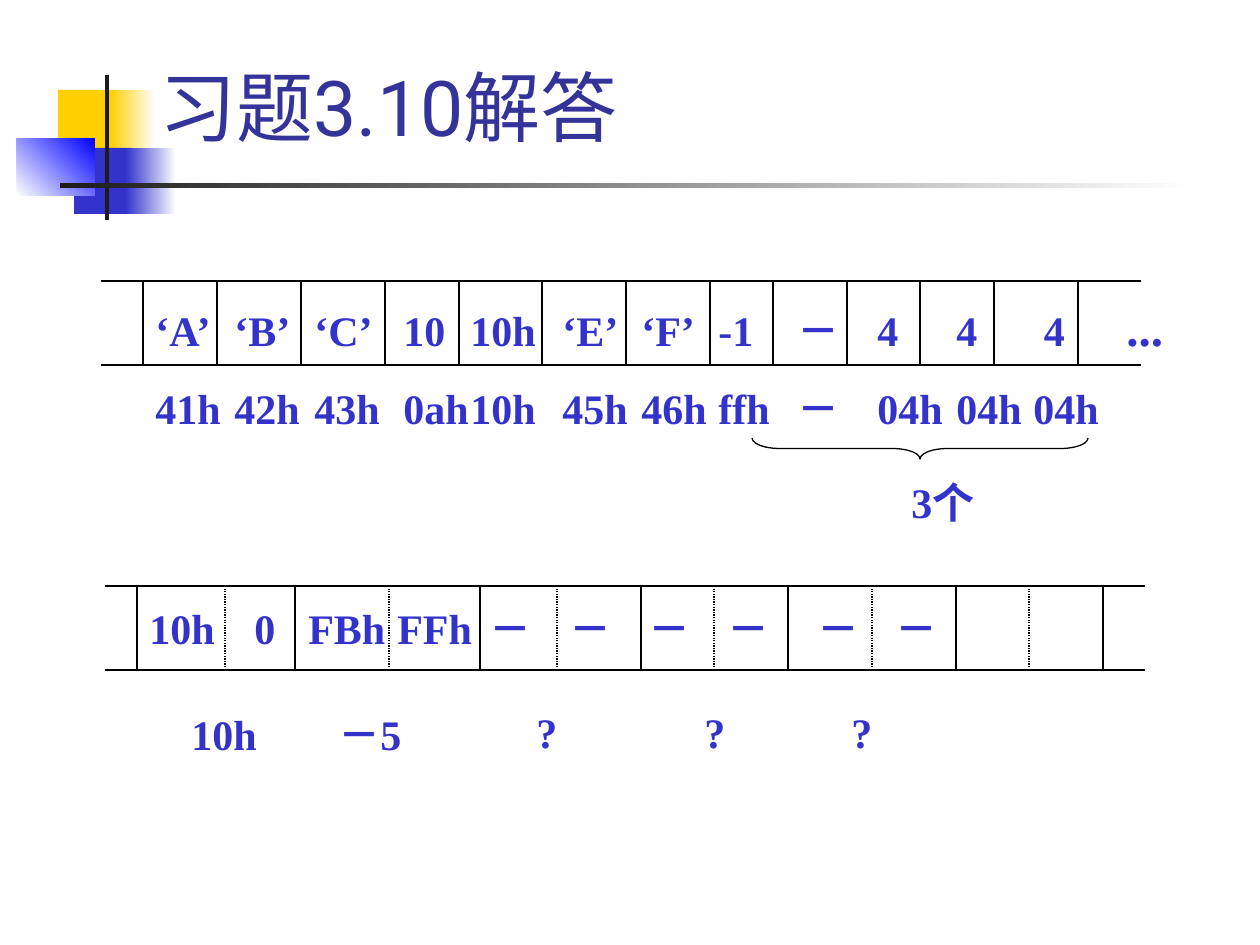
from lxml.etree import SubElement
from pptx import Presentation
from pptx.dml.color import RGBColor
from pptx.enum.dml import MSO_LINE
from pptx.enum.shapes import MSO_CONNECTOR, MSO_SHAPE
from pptx.enum.text import MSO_ANCHOR, MSO_AUTO_SIZE, PP_ALIGN
from pptx.oxml.ns import qn
from pptx.util import Pt

SCALE = 914400 / 126
INK = {"gold": "FFCF01", "blue": "3333CC", "pure": "0000FF", "dark": "1C1C1C",
       "white": "FFFFFF", "title": "333399", "line": "000000"}
BODY = {"name": "Times New Roman", "size": Pt(24), "bold": True}
HEAD = {"name": "Roboto", "size": Pt(44), "bold": False}
FRAME = {"word_wrap": True, "vertical_anchor": MSO_ANCHOR.TOP,
         "auto_size": MSO_AUTO_SIZE.SHAPE_TO_FIT_TEXT}


def px(n):
    return round(n * SCALE)


def tint(name):
    return RGBColor.from_string(INK[name])


def put(item, values):
    for key, value in values.items():
        setattr(item, key, value)


def add_run(para, text, style, color):
    run = para.add_run()
    run.text = text
    put(run.font, style)
    run.font.color.rgb = tint(color)


def set_tabs(para, stops):
    tabs = SubElement(para._p.get_or_add_pPr(), qn("a:tabLst"))
    for stop in stops:
        SubElement(tabs, qn("a:tab"), pos=str(px(stop)), algn="l")


def add_text(slide, box, rows, stops=()):
    """Each row is a list of (text, size) runs."""
    frame = slide.shapes.add_textbox(*map(px, box)).text_frame
    put(frame, FRAME)
    for i, row in enumerate(rows):
        para = frame.add_paragraph() if i else frame.paragraphs[0]
        if i:
            para.space_before = Pt(15)
        if stops:
            set_tabs(para, stops)
        for text, size in row:
            add_run(para, text, {**BODY, "size": Pt(size)}, "blue")


def add_line(slide, x1, y1, x2, y2, dotted=False):
    line = slide.shapes.add_connector(MSO_CONNECTOR.STRAIGHT, *map(px, (x1, y1, x2, y2)))
    line.line.width = Pt(0.75)
    line.line.color.rgb = tint("line")
    if dotted:
        line.line.dash_style = MSO_LINE.ROUND_DOT
    SubElement(line._element.spPr, qn("a:effectLst"))


def add_block(slide, box, start, end=None, angle=0):
    block = slide.shapes.add_shape(MSO_SHAPE.RECTANGLE, *map(px, box))
    block.shadow.inherit = False
    block.line.fill.background()
    if end is None:
        block.fill.solid()
        block.fill.fore_color.rgb = tint(start)
        return
    block.fill.gradient()
    block.fill.gradient_angle = angle
    for stop, name in zip(block.fill.gradient_stops, (start, end)):
        stop.color.rgb = tint(name)


def add_motif(slide, x, y):
    # Coloured squares and the cross bars
    for (dx, dy, w, h), *fill in (
            ((41, 15, 60, 66), "gold"),
            ((93, 15, 45, 66), "gold", "white"),
            ((57, 73, 58, 66), "blue"),
            ((109, 73, 50, 66), "blue", "white"),
            ((0, 63, 78, 58), "white", "pure", 45),
            ((88, 0, 4, 145), "dark"),
            ((43, 108, 1134, 5), "dark", "white")):
        add_block(slide, (x + dx, y + dy, w, h), *fill)


def add_title(slide, box, text):
    title = slide.shapes.title
    put(title, dict(zip(("left", "top", "width", "height"), map(px, box))))
    put(title.text_frame, {"vertical_anchor": MSO_ANCHOR.BOTTOM, "word_wrap": True,
                           "auto_size": MSO_AUTO_SIZE.NONE})
    para = title.text_frame.paragraphs[0]
    para.alignment = PP_ALIGN.LEFT
    add_run(para, text, HEAD, "title")


def add_tape(slide, box, walls, halves=False):
    """Open strip of cells; with halves, every second wall is dotted."""
    x, y, w, h = box
    for edge in (y, y + h):
        add_line(slide, x, edge, x + w, edge)
    for i, wall in enumerate(walls):
        add_line(slide, x + wall, y, x + wall, y + h, halves and i % 2 == 1)


def add_brace(slide, x, y, w, h):
    # A right brace turned to point down, centred on its box
    brace = slide.shapes.add_shape(MSO_SHAPE.RIGHT_BRACE, px(x + (w - h) / 2),
                                   px(y + (h - w) / 2), px(h), px(w))
    brace.rotation = 90
    brace.adjustments[0] = 1.33
    brace.shadow.inherit = False
    brace.fill.background()
    brace.line.width = Pt(0.75)
    brace.line.color.rgb = tint("line")


def add_bytes(slide, x, y):
    add_tape(slide, (x, y, 1040, 84),
             (42, 116, 200, 284, 358, 441, 525, 609, 672, 746, 819, 893, 977))
    cells = "‘A’\t‘B’\t‘C’\t10\t10h\t‘E’\t‘F’\t-1\t－\t4\t4\t 4\t"
    codes = "41h\t42h\t43h\t0ah\t10h\t45h\t46h\tffh\t－\t04h\t04h\t04h"
    add_text(slide, (x + 42, y + 10, 1071, 149),
             [[(cells, 24), ("...", 28)], [(codes, 24)]],
             (0, 79, 159, 248, 315, 407, 486, 563, 642, 722, 801, 878, 971))
    add_brace(slide, x + 651, y + 157, 336, 21)
    add_text(slide, (x + 798, y + 189, 105, 63), [[("3个", 24)]])


def add_words(slide, x, y):
    add_tape(slide, (x, y, 1040, 84),
             (32, 120, 190, 284, 375, 452, 536, 609, 683, 767, 851, 924, 998), True)
    cells = "\t".join(["10h", "0", "FBh", "FFh"] + ["－"] * 6)
    add_text(slide, (x + 32, y + 10, 1071, 63), [[(cells, 24)]],
             (0, 105, 159, 248, 340, 420, 499, 578, 668, 746))
    # Value of each word, below its cells
    for text, dx, dy, w in (("10h", 74, 116, 126), ("－5", 221, 116, 126),
                            ("?", 419, 114, 73), ("?", 587, 114, 73),
                            ("?", 734, 114, 73)):
        add_text(slide, (x + dx, y + dy, w, 63), [[(text, 24)]])


def main():
    deck = Presentation()
    deck.slide_width, deck.slide_height = px(1260), px(945)
    slide = deck.slides.add_slide(deck.slide_layouts[5])
    add_motif(slide, 17, 75)
    add_title(slide, (147, 42, 1074, 116), "习题3.10解答")
    add_bytes(slide, 101, 281)
    add_words(slide, 105, 586)
    deck.save("out.pptx")


if __name__ == "__main__":
    main()
